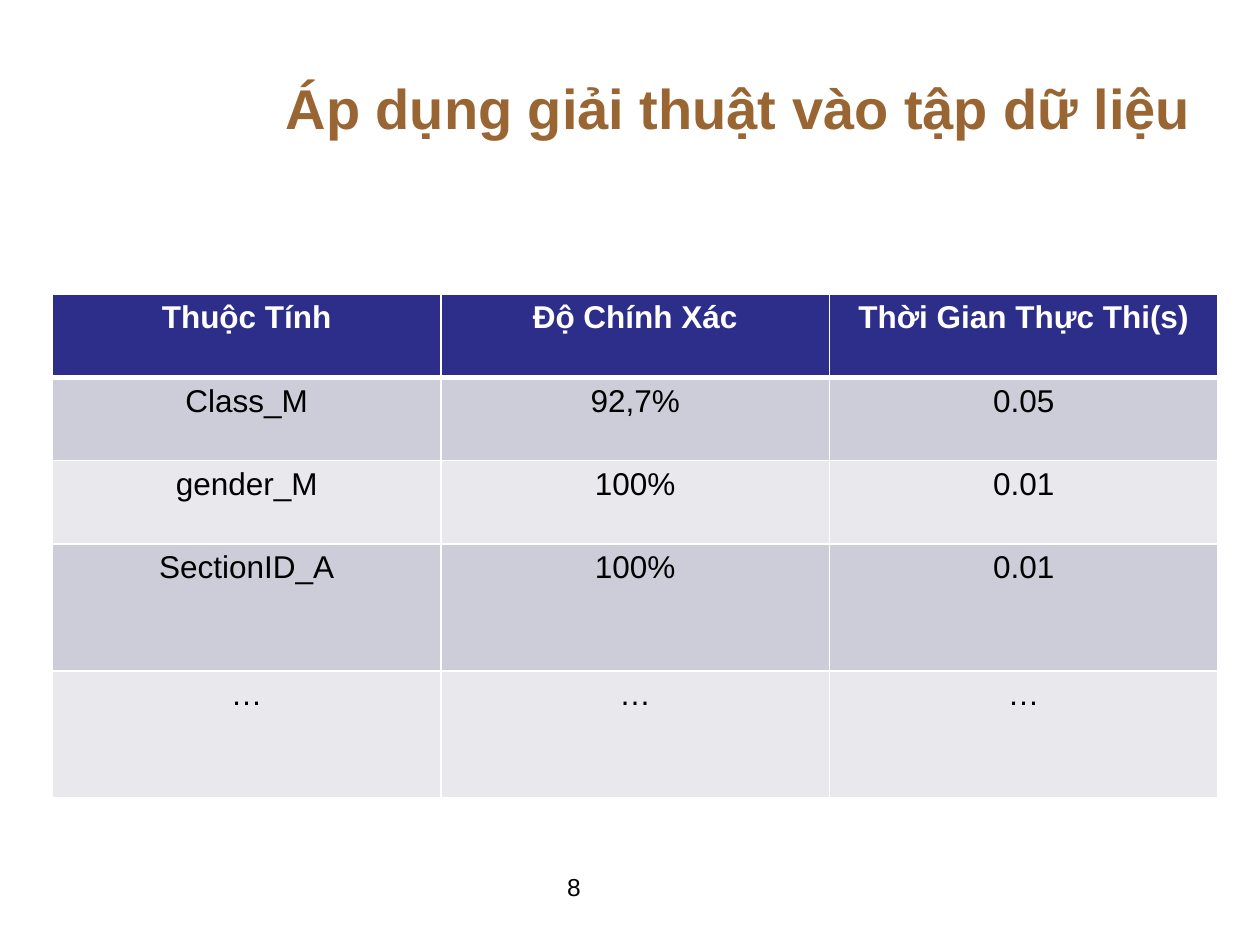
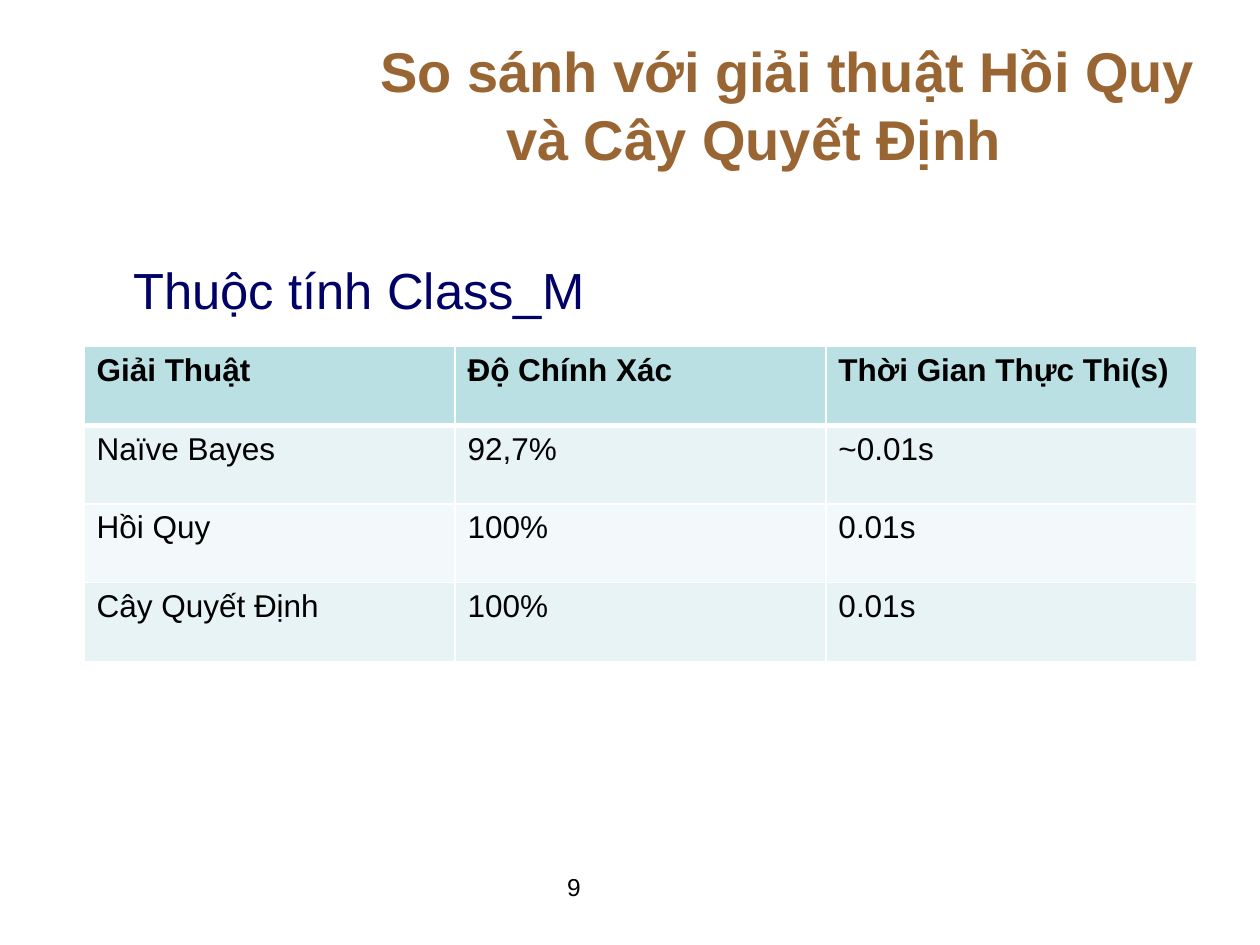
from lxml import etree
from pptx import Presentation
from pptx import util as u
from pptx.dml import color
from pptx.enum import text
from pptx.oxml import ns

Pt = u.Pt
ALIGN = text.PP_ALIGN
ANCHOR = text.MSO_ANCHOR


def rgb(value):
    return color.RGBColor.from_string(value)


class Deck:
    FONT = "Arial"
    TITLE = "996633"
    BODY = "000066"
    INK = "000000"
    WHITE = "FFFFFF"
    TAB = 72
    TITLE_ONLY = 5
    TITLE_AND_BODY = 1

    def __init__(self):
        self.presentation = Presentation()
        self.presentation.slide_width = Pt(720)
        self.presentation.slide_height = Pt(540)
        self.slide = None

    def add_slide(self, layout):
        self.slide = self.presentation.slides.add_slide(
            self.presentation.slide_layouts[layout])
        for shape in list(self.slide.placeholders):
            if shape.placeholder_format.idx > 1:
                shape.element.getparent().remove(shape.element)

    def place(self, shape, left, top, width, height):
        shape.left, shape.top = Pt(left), Pt(top)
        shape.width, shape.height = Pt(width), Pt(height)

    def set_text(self, frame, content, size, fill, bold=False,
                 align=ALIGN.LEFT, anchor=ANCHOR.TOP):
        frame.text = content
        frame.word_wrap = True
        frame.vertical_anchor = anchor
        paragraph = frame.paragraphs[0]
        paragraph.alignment = align
        font = paragraph.font
        font.name, font.size, font.bold = self.FONT, Pt(size), bold
        font.color.rgb = rgb(fill)
        return paragraph

    def indent(self, paragraph, margin, first):
        properties = paragraph._p.get_or_add_pPr()
        properties.set("marL", str(Pt(margin)))
        properties.set("indent", str(Pt(first)))
        return properties

    def title(self, content, left, top, width, margin, first=0):
        shape = self.slide.shapes.title
        self.place(shape, left, top, width, 74)
        shape.text_frame.auto_size = text.MSO_AUTO_SIZE.NONE
        paragraph = self.set_text(shape.text_frame, content, 32, self.TITLE,
                                  bold=True, anchor=ANCHOR.MIDDLE)
        self.indent(paragraph, margin, first)

    def body(self, content, left, top, width, height):
        shape = self.slide.placeholders[1]
        self.place(shape, left, top, width, height)
        shape.text_frame.auto_size = text.MSO_AUTO_SIZE.NONE
        paragraph = self.set_text(shape.text_frame, content, 29, self.BODY)
        properties = self.indent(paragraph, 0, 0)
        paragraph.space_before = Pt(5.8)
        bullet = etree.Element(ns.qn("a:buNone"))
        properties.find(ns.qn("a:spcBef")).addnext(bullet)

    def page_number(self, number):
        shape = self.slide.shapes.add_textbox(
            Pt(214), Pt(494.6), Pt(228), Pt(37.5))
        self.set_text(shape.text_frame, str(number), 14, self.INK,
                      align=ALIGN.CENTER)

    def borders(self, cell, **widths):
        properties = cell._tc.get_or_add_tcPr()
        for side in "LRTB":
            line = etree.SubElement(properties, ns.qn(f"a:ln{side}"),
                                    w=str(Pt(widths.get(side, 1))))
            fill = etree.SubElement(line, ns.qn("a:solidFill"))
            etree.SubElement(fill, ns.qn("a:srgbClr"), val=self.WHITE)

    def table(self, rows, left, top, width, heights, header, header_ink,
              bands, align=ALIGN.LEFT):
        columns = len(rows[0])
        table = self.slide.shapes.add_table(
            len(rows), columns, Pt(left), Pt(top), Pt(width),
            Pt(sum(heights))).table
        for column in table.columns:
            column.width = Pt(width / columns)
        for index, (values, height) in enumerate(zip(rows, heights)):
            table.rows[index].height = Pt(height)
            is_header = index == 0
            fill = header if is_header else bands[(index - 1) % len(bands)]
            for cell, value in zip(table.rows[index].cells, values):
                self.borders(cell, T=3 if index == 1 else 1,
                             B=3 if is_header else 1)
                cell.fill.solid()
                cell.fill.fore_color.rgb = rgb(fill)
                self.set_text(cell.text_frame, value, 18,
                              header_ink if is_header else self.INK,
                              bold=is_header, align=align)


def attribute_results(deck):
    deck.add_slide(deck.TITLE_ONLY)
    deck.title("Áp dụng giải thuật vào tập dữ liệu", 84, 24, 612, deck.TAB)
    rows = [
        ("Thuộc Tính", "Độ Chính Xác", "Thời Gian Thực Thi(s)"),
        ("Class_M", "92,7%", "0.05"),
        ("gender_M", "100%", "0.01"),
        ("SectionID_A", "100%", "0.01"),
        ("…", "…", "…"),
    ]
    deck.table(rows, 30, 168, 666, [47.6] * 3 + [72.6] * 2, "2D2D8A",
               deck.WHITE, ("CDCDDA", "E8E8ED"), ALIGN.CENTER)
    deck.page_number(8)


def algorithm_comparison(deck):
    deck.add_slide(deck.TITLE_AND_BODY)
    deck.title("So sánh với giải thuật Hồi Quy\vvà Cây Quyết Định",
               138, 22.5, 558, 2 * deck.TAB, -deck.TAB)
    rows = [
        ("Giải Thuật", "Độ Chính Xác", "Thời Gian Thực Thi(s)"),
        ("Naïve Bayes", "92,7%", "~0.01s"),
        ("Hồi Quy", "100%", "0.01s"),
        ("Cây Quyết Định", "100%", "0.01s"),
    ]
    deck.table(rows, 48, 198, 636, [45] * 4, "BBE0E3", deck.INK,
               ("E7F3F4", "F3F9FA"))
    deck.body("Thuộc tính Class_M", 69, 144, 594, 45)
    deck.page_number(9)


def main():
    deck = Deck()
    attribute_results(deck)
    algorithm_comparison(deck)
    deck.presentation.save("out.pptx")


if __name__ == "__main__":
    main()
